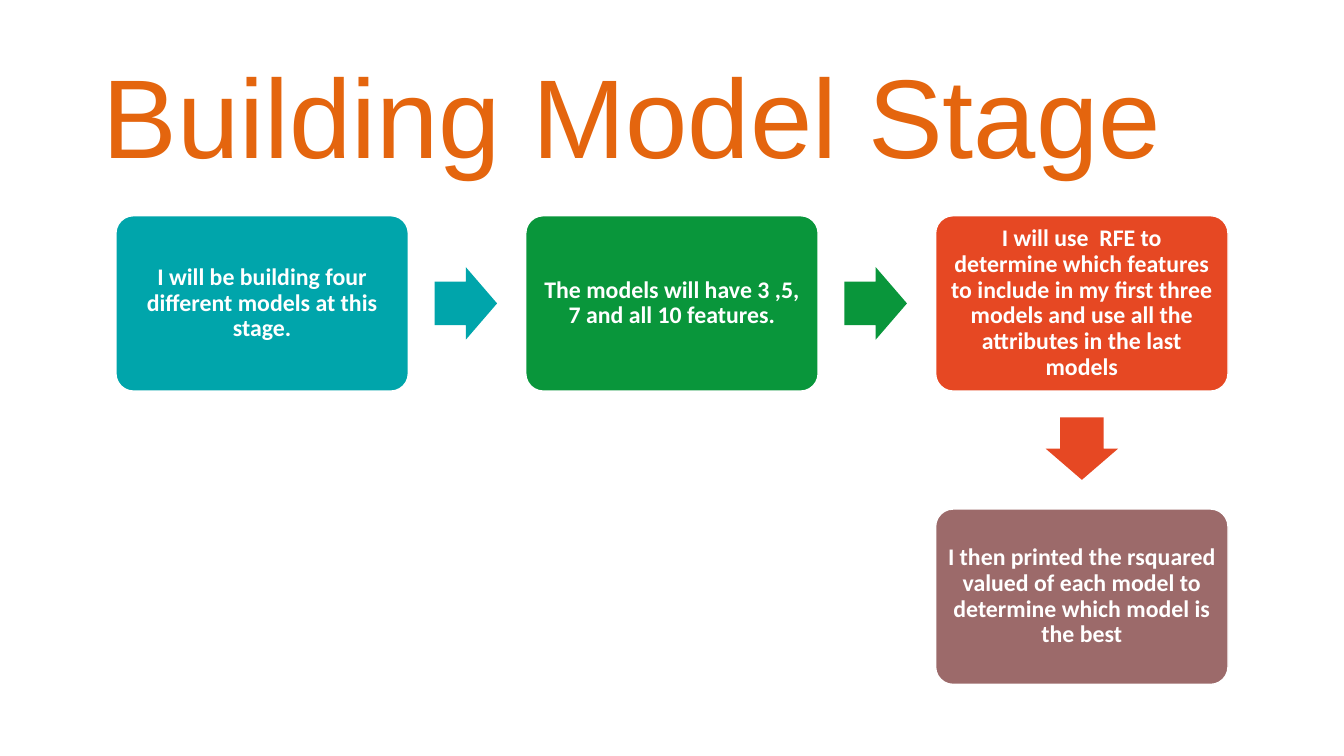
import pptx
import pptx.util
import pptx.dml.color
import pptx.enum.shapes
import pptx.enum.text

TITLE = "Building Model Stage"
COLORS = {
    "title": "E4650E",
    "white": "FFFFFF",
    "teal": "00A5AB",
    "green": "09963B",
    "red": "E64823",
    "mauve": "9C6A6A",
}
STEPS = [
    (0, 0, "teal", "I will be building four different models at this stage."),
    (1, 0, "green", "The models will have 3 ,5, 7 and all 10 features."),
    (2, 0, "red", "I will use  RFE to determine which features to include in my "
                  "first three models and use all the attributes in the last models"),
    (2, 1, "mauve", "I then printed the rsquared valued of each model "
                    "to determine which model is the best"),
]
LEFT, TOP = 1.15, 2.14
BOX_W, BOX_H = 2.9, 1.74
COL_STEP, ROW_STEP = 4.065, 2.91
ARROW_W, ARROW_H = 0.62, 0.72
ARROW_GAP = 0.57

Inches, Pt = pptx.util.Inches, pptx.util.Pt
SHAPE = pptx.enum.shapes.MSO_SHAPE
ALIGN = pptx.enum.text.PP_ALIGN
MIDDLE = pptx.enum.text.MSO_ANCHOR.MIDDLE


def rgb(name):
    return pptx.dml.color.RGBColor.from_string(COLORS[name])


def style_font(p, face, size, color, bold=False):
    p.font.name, p.font.size, p.font.bold = face, Pt(size), bold
    p.font.color.rgb = rgb(color)


def add_filled(slide, kind, box, color, adjustments):
    sp = slide.shapes.add_shape(kind, *map(Inches, box))
    sp.shadow.inherit = False
    sp.fill.solid()
    sp.fill.fore_color.rgb = rgb(color)
    sp.line.fill.background()
    for i, value in enumerate(adjustments):
        sp.adjustments[i] = value
    return sp


def add_step(slide, x, y, color, text):
    sp = add_filled(slide, SHAPE.ROUNDED_RECTANGLE, (x, y, BOX_W, BOX_H), color, [0.1])
    sp.line.color.rgb = rgb("white")
    sp.line.width = Pt(1)
    tf = sp.text_frame
    tf.word_wrap = True
    tf.vertical_anchor = MIDDLE
    tf.margin_left = tf.margin_right = tf.margin_top = tf.margin_bottom = Inches(0.07)
    p = tf.paragraphs[0]
    p.text = text
    p.alignment = ALIGN.CENTER
    p.line_spacing = 0.9
    style_font(p, "Calibri", 17, "white", True)


def add_arrow(slide, x, y, color, down):
    if down:
        cx, cy = x + BOX_W / 2, y + BOX_H + ARROW_GAP
    else:
        cx, cy = x + BOX_W + ARROW_GAP, y + BOX_H / 2
    box = (cx - ARROW_W / 2, cy - ARROW_H / 2, ARROW_W, ARROW_H)
    sp = add_filled(slide, SHAPE.RIGHT_ARROW, box, color, [0.6, 0.5])
    sp.rotation = 90 if down else 0


def main():
    prs = pptx.Presentation()
    prs.slide_width, prs.slide_height = Inches(13.33), Inches(7.5)
    slide = prs.slides.add_slide(prs.slide_layouts[5])

    title = slide.shapes.title
    title.left, title.top, title.width, title.height = map(Inches, (0.92, 0.4, 11.5, 1.45))
    title.text_frame.vertical_anchor = MIDDLE
    p = title.text_frame.paragraphs[0]
    p.text = TITLE
    p.alignment = ALIGN.LEFT
    style_font(p, "Arial", 80, "title")

    for i, (col, row, color, text) in enumerate(STEPS):
        x, y = LEFT + col * COL_STEP, TOP + row * ROW_STEP
        add_step(slide, x, y, color, text)
        if i + 1 < len(STEPS):
            add_arrow(slide, x, y, color, STEPS[i + 1][1] > row)

    prs.save("out.pptx")


if __name__ == "__main__":
    main()
